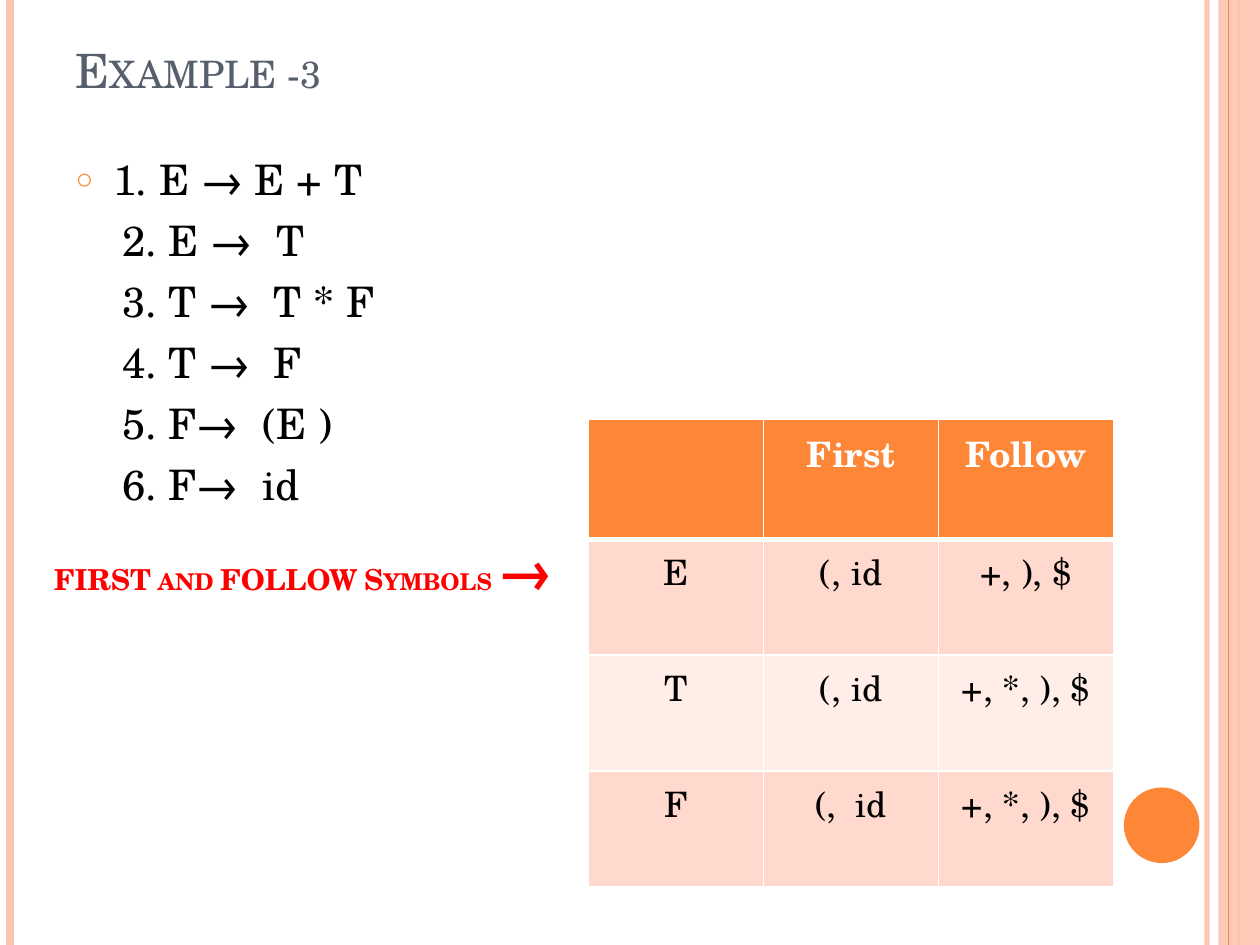
from lxml import etree
from pptx import Presentation
from pptx.dml.color import RGBColor
from pptx.enum.shapes import MSO_CONNECTOR, MSO_SHAPE
from pptx.enum.text import MSO_ANCHOR, MSO_AUTO_SIZE, PP_ALIGN
from pptx.oxml import parse_xml
from pptx.oxml.ns import nsdecls, qn
from pptx.util import Inches, Pt

STRAIGHT = MSO_CONNECTOR.STRAIGHT
RECTANGLE, OVAL = MSO_SHAPE.RECTANGLE, MSO_SHAPE.OVAL
BOTTOM, TOP = MSO_ANCHOR.BOTTOM, MSO_ANCHOR.TOP
LEFT, CENTER = PP_ALIGN.LEFT, PP_ALIGN.CENTER
NO_AUTOFIT = MSO_AUTO_SIZE.NONE

FONT = "TeX Gyre Schola"
ORANGE = RGBColor(0xFE, 0x86, 0x37)
PEACH = RGBColor(0xFE, 0xC3, 0xAE)
SLATE = RGBColor(0x57, 0x5F, 0x6D)
BLACK = RGBColor(0x00, 0x00, 0x00)
WHITE = RGBColor(0xFF, 0xFF, 0xFF)
RED = RGBColor(0xFF, 0x00, 0x00)
BAND_DARK = RGBColor(0xFF, 0xD9, 0xCE)
BAND_LIGHT = RGBColor(0xFF, 0xED, 0xE8)


def style_run(run, size, color, bold=False, small_caps=False):
    run.font.name = FONT
    run.font.size = Pt(size)
    run.font.color.rgb = color
    run.font.bold = bold
    if small_caps:
        run.font._element.set("cap", "small")


def set_opacity(element, percent):
    color = element.find(".//" + qn("a:srgbClr"))
    etree.SubElement(color, qn("a:alpha")).set("val", str(percent * 1000))


presentation = Presentation()
presentation.slide_width = Inches(10)
presentation.slide_height = Inches(7.5)
slide = presentation.slides.add_slide(presentation.slide_layouts[1])
shapes = slide.shapes

# Side panel, then the vertical rules
panel = shapes.add_shape(RECTANGLE, Inches(9.67), 0, Inches(0.33), Inches(7.5))
panel.shadow.inherit = False
panel.fill.solid()
panel.fill.fore_color.rgb = PEACH
panel.line.fill.background()
set_opacity(panel._element.spPr, 87)

for x, color, width, opacity in (
    (9.58, PEACH, 3, 93),
    (0.08, PEACH, 4.5, 100),
    (9.83, PEACH, 1.5, 100),
    (9.75, ORANGE, 0.75, 100),
):
    rule = shapes.add_connector(STRAIGHT, Inches(x), 0, Inches(x), Inches(7.5))
    rule.line.color.rgb = color
    rule.line.width = Pt(width)
    if opacity < 100:
        set_opacity(rule._element.spPr, opacity)
    etree.SubElement(rule._element.spPr, qn("a:effectLst"))

# Corner disc
disc = shapes.add_shape(OVAL, Inches(8.92), Inches(6.25), Inches(0.6), Inches(0.6))
disc.shadow.inherit = False
disc.fill.solid()
disc.fill.fore_color.rgb = ORANGE
disc.line.fill.background()

# Title
title = shapes.title
title.left, title.top = Inches(0.5), Inches(0.3)
title.width, title.height = Inches(8.17), Inches(0.53)
title.text_frame.text = "Example -3"
title.text_frame.auto_size = NO_AUTOFIT
title.text_frame.vertical_anchor = BOTTOM
title.text_frame.paragraphs[0].alignment = LEFT
style_run(title.text_frame.paragraphs[0].runs[0], 27, SLATE, small_caps=True)

# Grammar rules: the first is bulleted, the others are indented under it
productions = [
    "1. E → E + T",
    "2. E →  T",
    "3. T →  T * F",
    "4. T →  F",
    "5. F→  (E )",
    "6. F→  id",
]
body = slide.placeholders[1]
body.left, body.top = Inches(0.5), Inches(1.17)
body.width, body.height = Inches(8.17), Inches(5.91)
frame = body.text_frame
frame.auto_size = NO_AUTOFIT
frame.vertical_anchor = TOP
for index, production in enumerate(productions):
    paragraph = frame.paragraphs[0] if index == 0 else frame.add_paragraph()
    paragraph.text = production
    paragraph.space_before = Pt(6 if index else 0)
    properties = paragraph._p.get_or_add_pPr()
    if index == 0:
        properties.set("marL", str(Inches(0.3)))
        properties.set("indent", str(Inches(-0.3)))
        bullet_color = etree.SubElement(properties, qn("a:buClr"))
        etree.SubElement(bullet_color, qn("a:srgbClr")).set("val", str(ORANGE))
        etree.SubElement(properties, qn("a:buSzPct")).set("val", "70000")
        etree.SubElement(properties, qn("a:buChar")).set("char", "○")
    else:
        properties.set("marL", str(Inches(0.37)))
        properties.set("indent", "0")
        etree.SubElement(properties, qn("a:buNone"))
    style_run(paragraph.runs[0], 24, BLACK)

# First and follow table
rows = [
    ("", "First", "Follow"),
    ("E", "(, id", "+, ), $"),
    ("T", "(, id", "+, *, ), $"),
    ("F", "(,  id", "+, *, ), $"),
]
table_frame = shapes.add_table(
    4, 3, Inches(4.67), Inches(3.33), Inches(4.17), Inches(3.71)
)
table = table_frame.table
table.first_row = False
table.horz_banding = False
for column in table.columns:
    column.width = Inches(1.39)
for row_index, values in enumerate(rows):
    is_header = row_index == 0
    table.rows[row_index].height = Inches(0.95 if is_header else 0.92)
    band = ORANGE if is_header else (BAND_LIGHT, BAND_DARK)[row_index % 2]
    for column_index, value in enumerate(values):
        cell = table.cell(row_index, column_index)
        cell_properties = cell._tc.get_or_add_tcPr()
        for side in "LRTB":
            thick = (row_index, side) in ((0, "B"), (1, "T"))
            cell_properties.append(parse_xml(
                f'<a:ln{side} {nsdecls("a")} w="{Pt(3 if thick else 1)}">'
                f'<a:solidFill><a:srgbClr val="{WHITE}"/></a:solidFill></a:ln{side}>'
            ))
        cell.fill.solid()
        cell.fill.fore_color.rgb = band
        if value:
            cell.text_frame.text = value
            paragraph = cell.text_frame.paragraphs[0]
            paragraph.alignment = CENTER
            style_run(paragraph.runs[0], 20, WHITE if is_header else BLACK, is_header)

# Caption pointing to the table
caption = shapes.add_textbox(Inches(0.33), Inches(4.17), Inches(4.33), Inches(0.67))
caption.text_frame.word_wrap = True
caption.text_frame.vertical_anchor = BOTTOM
paragraph = caption.text_frame.paragraphs[0]
paragraph.line_spacing = 0.8
for text, size in (("FIRST and FOLLOW Symbols ", 16.5), ("→", 39.1)):
    run = paragraph.add_run()
    run.text = text
    style_run(run, size, RED, bold=True, small_caps=True)

presentation.save("out.pptx")
